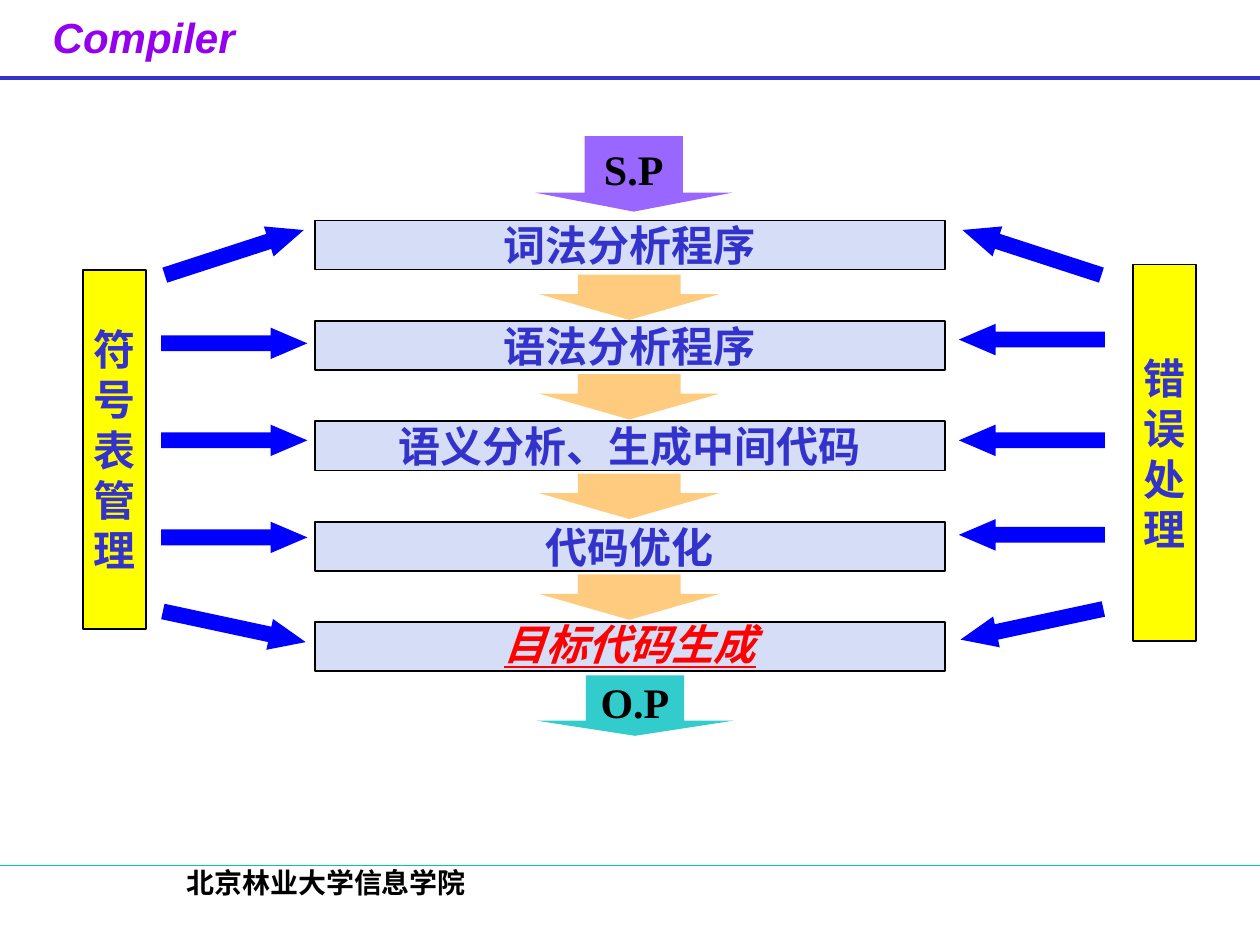
from dataclasses import dataclass
from typing import Any, NamedTuple

from lxml.etree import SubElement
from pptx import Presentation
from pptx.dml.color import RGBColor
from pptx.enum.shapes import MSO_CONNECTOR, MSO_SHAPE
from pptx.enum.text import MSO_ANCHOR, PP_ALIGN
from pptx.oxml.ns import qn
from pptx.util import Inches, Pt

COLUMNS, ROWS = 100, 75
SLIDE_WIDTH, SLIDE_HEIGHT = Inches(10), Inches(7.5)


@dataclass(frozen=True)
class Theme:
    title: str = "9400ED"
    accent: str = "3333CC"
    footer_rule: str = "00CC99"
    ink: str = "000000"
    stage: str = "D6DDF6"
    service: str = "FFFF00"
    service_arrow: str = "0000FF"
    flow: str = "FF9900"
    source: str = "9966FF"
    target: str = "33CCCC"
    highlight: str = "FF0000"
    heading_font: str = "Arial"
    serif_font: str = "Times New Roman"
    chinese_font: str = "Noto Sans CJK SC"
    body_size: int = 24
    footer_size: int = 16


THEME = Theme()


class Area(NamedTuple):
    column: float
    row: float
    columns: float
    rows: float

    def to_lengths(self) -> tuple[int, int, int, int]:
        return (across(self.column), down(self.row),
                across(self.columns), down(self.rows))


class TextStyle(NamedTuple):
    font: str
    color: str
    size: int = THEME.body_size
    italic: bool = False
    underline: bool = False
    align: PP_ALIGN = PP_ALIGN.CENTER
    line_spacing: float = 1.0


class Stage(NamedTuple):
    label: str
    style: TextStyle


class Service(NamedTuple):
    """A side process whose arrows reach every stage."""
    label: str
    area: Area
    arrow: MSO_SHAPE
    arrow_column: float
    arrow_rows: tuple[float, ...]
    arrow_angles: tuple[float, ...]


CHINESE = TextStyle(THEME.chinese_font, THEME.accent)
SERIF = TextStyle(THEME.serif_font, THEME.ink)
TITLE = TextStyle(THEME.heading_font, THEME.title, italic=True,
                  align=PP_ALIGN.LEFT)
FOOTER = SERIF._replace(size=THEME.footer_size)
HIGHLIGHT = CHINESE._replace(color=THEME.highlight, italic=True,
                             underline=True, line_spacing=0.9)

STAGES = (
    Stage("词法分析程序", CHINESE),
    Stage("语法分析程序", CHINESE),
    Stage("语义分析、生成中间代码", CHINESE),
    Stage("代码优化", CHINESE),
    Stage("目标代码生成", HIGHLIGHT),
)
FIRST_STAGE = Area(25, 17.5, 50, 3.9)
STAGE_PITCH = 7.97
FLOW_ROWS = (21.8, 29.7, 37.6, 45.6)

SERVICES = (
    Service("符号表管理", Area(6.6, 21.4, 5, 28.5), MSO_SHAPE.RIGHT_ARROW, 12.8,
            (18.8, 26, 33.7, 41.4, 48.5), (-18, 0, 0, 0, 12.1)),
    Service("错误处理", Area(89.9, 21, 5, 29.9), MSO_SHAPE.LEFT_ARROW, 76.1,
            (18.8, 25.7, 33.7, 41.2, 48.3), (18, 0, 0, 0, -12.1)),
)


def across(columns: float) -> int:
    return round(SLIDE_WIDTH * columns / COLUMNS)


def down(rows: float) -> int:
    return round(SLIDE_HEIGHT * rows / ROWS)


def apply_format(target: Any, values: dict[str, Any]) -> None:
    for attribute, value in values.items():
        setattr(target, attribute, value)


def write_text(shape: Any, lines: list[str], style: TextStyle, wrap: bool = False,
               anchor: MSO_ANCHOR = MSO_ANCHOR.MIDDLE) -> None:
    frame = shape.text_frame
    apply_format(frame, {"word_wrap": wrap, "vertical_anchor": anchor})
    for index, line in enumerate(lines):
        paragraph = frame.add_paragraph() if index else frame.paragraphs[0]
        apply_format(paragraph, {"alignment": style.align,
                                 "line_spacing": style.line_spacing})
        run = paragraph.add_run()
        run.text = line
        apply_format(run.font, {
            "name": style.font, "size": Pt(style.size), "bold": True,
            "italic": style.italic, "underline": style.underline})
        run.font.color.rgb = RGBColor.from_string(style.color)
        east_asian = SubElement(run.font._element, qn("a:ea"))
        east_asian.set("typeface", THEME.chinese_font)


def add_text(slide: Any, area: Area, text: str, style: TextStyle,
             wrap: bool = False) -> None:
    box = slide.shapes.add_textbox(*area.to_lengths())
    write_text(box, [text], style, wrap, MSO_ANCHOR.TOP)


def add_rule(slide: Any, row: float, color: str, weight: float) -> None:
    rule = slide.shapes.add_connector(
        MSO_CONNECTOR.STRAIGHT, 0, down(row), SLIDE_WIDTH, down(row))
    rule.line.color.rgb = RGBColor.from_string(color)
    rule.line.width = Pt(weight)
    SubElement(rule._element.spPr, qn("a:effectLst"))


def add_filled(slide: Any, kind: MSO_SHAPE, area: Area, fill: str) -> Any:
    shape = slide.shapes.add_shape(kind, *area.to_lengths())
    shape.shadow.inherit = False
    shape.fill.solid()
    shape.fill.fore_color.rgb = RGBColor.from_string(fill)
    shape.line.fill.background()
    return shape


def add_box(slide: Any, area: Area, fill: str, lines: list[str],
            style: TextStyle) -> None:
    box = add_filled(slide, MSO_SHAPE.RECTANGLE, area, fill)
    box.line.color.rgb = RGBColor.from_string(THEME.ink)
    box.line.width = Pt(1)
    write_text(box, lines, style)


def add_arrow(slide: Any, kind: MSO_SHAPE, area: Area, fill: str, shaft: float,
              head: float, angle: float = 0) -> Any:
    arrow = add_filled(slide, kind, area, fill)
    arrow.adjustments[0], arrow.adjustments[1] = shaft, head
    arrow.rotation = angle
    return arrow


def add_flow_arrow(slide: Any, row: float) -> None:
    arrow = add_arrow(slide, MSO_SHAPE.DOWN_ARROW, Area(42.8, row, 14.3, 3.6),
                      THEME.flow, 0.57, 0.57)
    color = arrow.fill._xPr.find(qn("a:solidFill"))[0]
    SubElement(color, qn("a:alpha")).set("val", "50000")


def add_service(slide: Any, service: Service) -> None:
    add_box(slide, service.area, THEME.service, list(service.label), CHINESE)
    for row, angle in zip(service.arrow_rows, service.arrow_angles):
        add_arrow(slide, service.arrow, Area(service.arrow_column, row, 11.6, 2.5),
                  THEME.service_arrow, 0.5, 1.17, angle)


def main() -> None:
    deck = Presentation()
    apply_format(deck, {"slide_width": SLIDE_WIDTH, "slide_height": SLIDE_HEIGHT})
    slide = deck.slides.add_slide(deck.slide_layouts[6])

    add_text(slide, Area(3.2, 0.4, 16.5, 6.2), "Compiler", TITLE)
    add_rule(slide, 6.2, THEME.accent, 2.25)
    add_rule(slide, 68.7, THEME.footer_rule, 1)
    add_text(slide, Area(5.2, 68.2, 41.4, 5), "北京林业大学信息学院", FOOTER, wrap=True)

    for label, area, fill in (("S.P", Area(42.5, 10.8, 15.6, 6), THEME.source),
                              ("O.P", Area(42.6, 53.6, 15.6, 4.8), THEME.target)):
        arrow = add_arrow(slide, MSO_SHAPE.DOWN_ARROW, area, fill, 0.5, 0.25)
        write_text(arrow, [label], SERIF)

    for index, stage in enumerate(STAGES):
        area = FIRST_STAGE._replace(row=FIRST_STAGE.row + index * STAGE_PITCH)
        add_box(slide, area, THEME.stage, [stage.label], stage.style)
    for row in FLOW_ROWS:
        add_flow_arrow(slide, row)
    for service in SERVICES:
        add_service(slide, service)

    deck.save("out.pptx")


if __name__ == "__main__":
    main()
